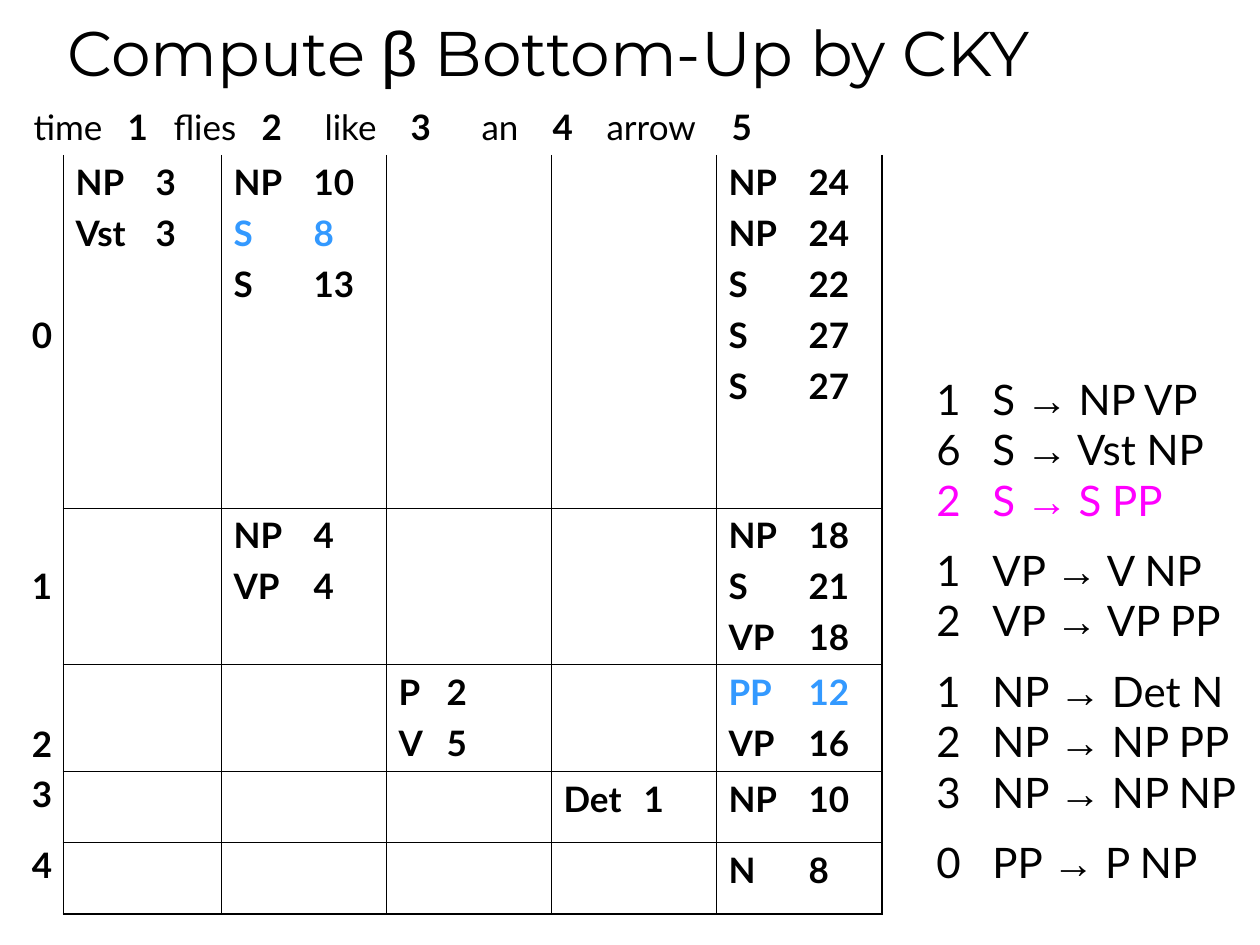
from itertools import accumulate
from lxml.etree import SubElement
from pptx import Presentation
from pptx.dml.color import RGBColor
from pptx.enum.text import MSO_ANCHOR, MSO_AUTO_SIZE, PP_ALIGN
from pptx.oxml.ns import qn
from pptx.util import Emu, Pt

PX = 914400 // 126
COLORS = {"black": "000000", "blue": "3399FF", "magenta": "FF00FF"}
SYMBOLS = "→β"


def write(para, text, size=20, font="Lato", bold=False, color="black", tabs=()):
    """Append text to a paragraph, with symbols in Arial and tab stops in px."""
    if tabs:
        stops = SubElement(para._p.get_or_add_pPr(), qn("a:tabLst"))
        for stop in tabs:
            SubElement(stops, qn("a:tab"), pos=str(stop * PX), algn="l")
    for symbol in SYMBOLS:
        text = text.replace(symbol, f"|{symbol}|")
    for part in text.split("|"):
        span = para.add_run()
        span.text = part
        span.font.name = "Arial" if part in SYMBOLS else font
        span.font.size = Pt(size)
        span.font.bold = bold
        span.font.color.rgb = RGBColor.from_string(COLORS[color])


def set_borders(cell, widths):
    """Set left, right, top and bottom border widths in points; 0 is no line."""
    properties = cell._tc.get_or_add_tcPr()
    for index, (side, width) in enumerate(zip("LRTB", widths)):
        line = properties.makeelement(qn(f"a:ln{side}"), {"w": str(Pt(width))})
        if width:
            fill = SubElement(line, qn("a:solidFill"))
            SubElement(fill, qn("a:srgbClr"), val=COLORS["black"])
        else:
            SubElement(line, qn("a:noFill"))
        properties.insert(index, line)


deck = Presentation()
deck.slide_width, deck.slide_height = Emu(1260 * PX), Emu(945 * PX)
page = deck.slides.add_slide(deck.slide_layouts[5])

# Title
title = page.shapes.title
title.left, title.top, title.width, title.height = (
    Emu(n * PX) for n in (55, 8, 1152, 87))
title.text_frame.auto_size = MSO_AUTO_SIZE.NONE
title.text_frame.vertical_anchor = MSO_ANCHOR.BOTTOM
title_para = title.text_frame.paragraphs[0]
title_para.alignment = PP_ALIGN.LEFT
write(title_para, "Compute β Bottom-Up by CKY", size=36, font="Montserrat")

# Parse chart grid
COLUMN_WIDTHS = [42, 158, 165, 165, 165, 166]
ROW_HEIGHTS = [55, 353, 156, 106, 71, 72]
THIN, THICK = 0.45, 1.08
last_row, last_column = len(ROW_HEIGHTS) - 1, len(COLUMN_WIDTHS) - 1
chart = page.shapes.add_table(
    len(ROW_HEIGHTS), len(COLUMN_WIDTHS), 21 * PX, 100 * PX,
    sum(COLUMN_WIDTHS) * PX, sum(ROW_HEIGHTS) * PX).table
chart.first_row = chart.horz_banding = False
for column, width in zip(chart.columns, COLUMN_WIDTHS):
    column.width = Emu(width * PX)
for row, height in zip(chart.rows, ROW_HEIGHTS):
    row.height = Emu(height * PX)
for r in range(last_row + 1):
    for c in range(last_column + 1):
        cell = chart.cell(r, c)
        cell.fill.background()
        if r == 0:
            set_borders(cell, (0, 0, 0, 0))
        elif c == 0:
            set_borders(cell, (0, THIN, 0, 0))
        else:
            set_borders(cell, (THIN,
                               THICK if c == last_column else THIN,
                               0 if r == 1 else THIN,
                               THICK if r == last_row else THIN))

# Sentence with word positions
header = chart.cell(0, 0)
header.merge(chart.cell(0, last_column))
header_para = header.text_frame.paragraphs[0]
GAPS = [94, 46, 88, 63, 86, 71, 71, 54, 125]
words = ["time", "flies", "like", "an", "arrow"]
for number, word in enumerate(words, 1):
    lead = "\t" if number > 1 else ""
    write(header_para, lead + word, tabs=() if lead else list(accumulate(GAPS)))
    write(header_para, f"\t{number}", bold=True)

# Row labels, each set down from the top of its row
for label, offset in enumerate([159, 57, 58, 2, 2]):
    cell = chart.cell(label + 1, 0)
    cell.margin_top = Emu(offset * PX)
    cell.margin_left = cell.margin_right = Emu(4 * PX)
    label_para = cell.text_frame.paragraphs[0]
    label_para.alignment = PP_ALIGN.CENTER
    write(label_para, str(label), bold=True)

# Constituents with weights, by start row and end column
ENTRIES = {
    (0, 1): "NP 3, Vst 3",
    (0, 2): "NP 10, S 8, S 13",
    (0, 5): "NP 24, NP 24, S 22, S 27, S 27",
    (1, 2): "NP 4, VP 4",
    (1, 5): "NP 18, S 21, VP 18",
    (2, 3): "P 2, V 5",
    (2, 5): "PP 12, VP 16",
    (3, 4): "Det 1",
    (3, 5): "NP 10",
    (4, 5): "N 8",
}
HIGHLIGHTS = ("S 8", "PP 12")
for (start, end), entries in ENTRIES.items():
    frame = chart.cell(start + 1, end).text_frame
    for index, entry in enumerate(entries.split(", ")):
        para = frame.add_paragraph() if index else frame.paragraphs[0]
        write(para, entry.replace(" ", "\t"), bold=True,
              color="blue" if entry in HIGHLIGHTS else "black",
              tabs=[48 if end == 3 else 80])
        if index:
            para.space_before = Pt(5)

# Grammar rules, grouped by left-hand side
GRAMMAR = [
    ["1\tS → NP VP", "6\tS → Vst NP", "2\tS → S PP"],
    ["1\tVP → V NP", "2\tVP → VP PP"],
    ["1\tNP → Det N", "2\tNP → NP PP", "3\tNP → NP NP"],
    ["0\tPP → P NP"],
]
box = page.shapes.add_textbox(924 * PX, 367 * PX, 336 * PX, 527 * PX)
box.text_frame.word_wrap = True
for group_index, group in enumerate(GRAMMAR):
    for index, rule in enumerate(group):
        first = group_index == index == 0
        para = box.text_frame.paragraphs[0] if first else box.text_frame.add_paragraph()
        write(para, rule, size=24, tabs=[56],
              color="magenta" if rule.endswith("S PP") else "black")
        if group_index and index == 0:
            para.line_spacing = 1.4

deck.save("out.pptx")
